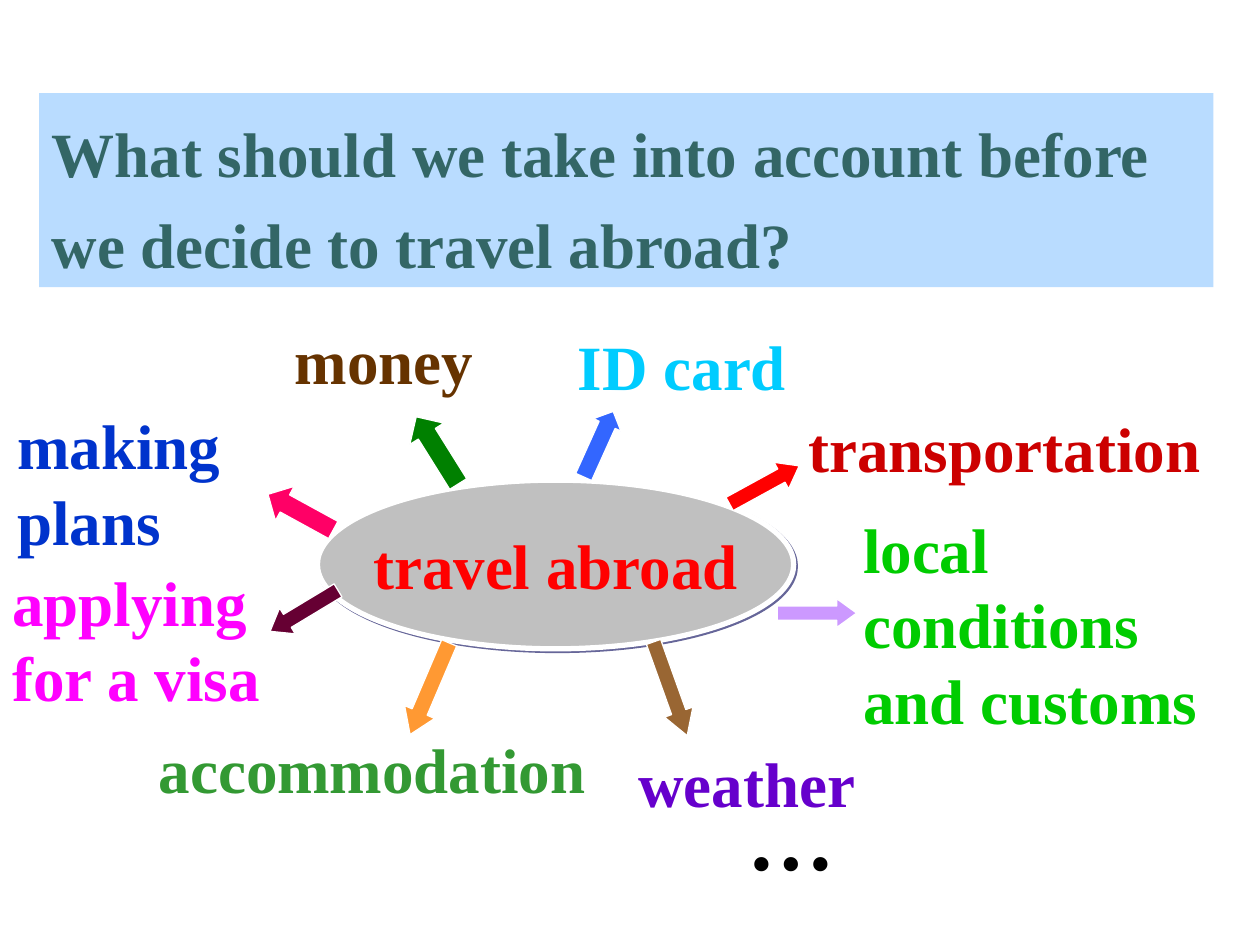
from dataclasses import dataclass

from lxml import etree
from pptx import Presentation
from pptx.dml.color import RGBColor
from pptx.enum.shapes import MSO_SHAPE
from pptx.enum.text import MSO_ANCHOR, MSO_AUTO_SIZE, PP_ALIGN
from pptx.oxml import parse_xml
from pptx.oxml.ns import nsdecls
from pptx.shapes.autoshape import Shape
from pptx.slide import Slide
from pptx.util import Cm, Pt

RECTANGLE, OVAL = MSO_SHAPE.RECTANGLE, MSO_SHAPE.OVAL
UP, DOWN = MSO_SHAPE.UP_ARROW, MSO_SHAPE.DOWN_ARROW
LEFT, RIGHT = MSO_SHAPE.LEFT_ARROW, MSO_SHAPE.RIGHT_ARROW
ALIGN_LEFT, ALIGN_CENTER = PP_ALIGN.LEFT, PP_ALIGN.CENTER
TOP, MIDDLE = MSO_ANCHOR.TOP, MSO_ANCHOR.MIDDLE
FIT_SHAPE, FIT_NONE = MSO_AUTO_SIZE.SHAPE_TO_FIT_TEXT, MSO_AUTO_SIZE.NONE

COLORS = {
    "white": "FFFFFF", "black": "000000", "sky": "B9DCFF", "teal": "336666",
    "gray": "C0C0C0", "slate": "666699", "red": "FF0000", "green": "008000",
    "rose": "FF0066", "blue": "3366FF", "plum": "660033", "lavender": "CC99FF",
    "orange": "FF9933", "tan": "996633", "brown": "663300", "cyan": "00CCFF",
    "crimson": "CC0000", "lime": "00CC00", "leaf": "339933",
    "violet": "6600CC", "navy": "0033CC", "magenta": "FF00FF",
}
FONT_FORMAT = {"name": "Times New Roman", "bold": True}


@dataclass(frozen=True)
class Box:
    left: float
    top: float
    width: float
    height: float = 1.78

    def lengths(self) -> list[int]:
        return [Cm(value) for value in (self.left, self.top, self.width, self.height)]


@dataclass(frozen=True)
class Arrow:
    preset: MSO_SHAPE
    box: Box
    rotation: float
    shaft: float
    head: float
    color: str


@dataclass(frozen=True)
class Label:
    text: str
    box: Box
    color: str
    wrap: bool = False
    size: float = 36


ARROWS = [
    Arrow(UP, Box(8.41, 8.28, 0.81, 1.6), 328, 0.5, 0.5, "green"),
    Arrow(LEFT, Box(5.31, 9.93, 1.5, 0.79), 28.7, 0.5, 0.49, "rose"),
    Arrow(UP, Box(11.76, 8.23, 0.61, 1.45), 24.2, 0.58, 0.49, "blue"),
    Arrow(LEFT, Box(5.33, 12.01, 1.6, 0.61), 328.9, 0.5, 0.67, "plum"),
    Arrow(RIGHT, Box(14.61, 9.47, 1.6, 0.61), 331.3, 0.5, 0.67, "red"),
    Arrow(RIGHT, Box(15.67, 12.07, 1.6, 0.58), 0, 0.5, 0.69, "lavender"),
    Arrow(DOWN, Box(8.33, 12.88, 0.66, 2.01), 23.1, 0.5, 0.75, "orange"),
    Arrow(DOWN, Box(13.21, 12.88, 0.61, 2.01), 340.3, 0.5, 0.83, "tan"),
]
LABELS = [
    Label("money", Box(5.69, 6.35, 4.42), "brown"),
    Label("ID card", Box(11.4, 6.48, 4.7), "cyan"),
    Label("transportation", Box(16.05, 8.13, 8.71), "crimson"),
    Label("local conditions and customs", Box(17.15, 10.16, 7.7, 4.83), "lime", True),
    Label("accommodation", Box(2.95, 14.61, 9.42), "leaf"),
    Label("weather", Box(12.62, 14.88, 5.18), "violet"),
    Label("making plans", Box(0.1, 8.08, 7.8), "navy"),
    Label("applying\nfor a visa", Box(0, 11.23, 8.89, 3.3), "magenta", True),
    Label("…", Box(14.81, 15.67, 2.74, 2.39), "black", True, 50),
]


def rgb(color: str) -> RGBColor:
    return RGBColor.from_string(COLORS[color])


def apply_format(target: object, values: dict) -> None:
    for name, value in values.items():
        setattr(target, name, value)


def write_text(shape: Shape, text: str, color: str, frame_format: dict,
               paragraph_format: dict, size: float = 36) -> None:
    frame = shape.text_frame
    frame.text = text
    apply_format(frame, frame_format)
    for paragraph in frame.paragraphs:
        apply_format(paragraph, paragraph_format)
        for run in paragraph.runs:
            apply_format(run.font, FONT_FORMAT | {"size": Pt(size)})
            run.font.color.rgb = rgb(color)


def add_filled_shape(slide: Slide, preset: MSO_SHAPE, box: Box, fill: str,
                     line_width: float = 0) -> Shape:
    shape = slide.shapes.add_shape(preset, *box.lengths())
    shape.shadow.inherit = False
    shape.fill.solid()
    shape.fill.fore_color.rgb = rgb(fill)
    if line_width:
        shape.line.color.rgb = rgb("white")
        shape.line.width = Pt(line_width)
    else:
        shape.line.fill.background()
    return shape


def add_shadow(shape: Shape, color: str, distance: float) -> None:
    effects = shape.shadow._element.find("{*}effectLst")
    shadow = etree.SubElement(effects, effects.tag.replace("effectLst", "outerShdw"),
                              dist=str(Pt(distance)), dir="2700000", algn="ctr",
                              rotWithShape="0")
    shadow.append(parse_xml(f'<a:srgbClr {nsdecls("a")} val="{COLORS[color]}"/>'))


def add_question(slide: Slide) -> None:
    shape = add_filled_shape(slide, RECTANGLE, Box(0.79, 1.88, 23.67, 3.91), "sky")
    write_text(shape, "What should we take into account before we decide to travel abroad?",
               "teal", {"word_wrap": True, "auto_size": FIT_SHAPE, "vertical_anchor": TOP},
               {"alignment": ALIGN_LEFT, "line_spacing": 1.2})


def add_topic(slide: Slide) -> None:
    shape = add_filled_shape(slide, OVAL, Box(6.4, 9.68, 9.6, 3.4), "gray", 3)
    add_shadow(shape, "slate", 1.4)
    write_text(shape, "travel abroad", "red",
               {"word_wrap": False, "auto_size": FIT_NONE, "vertical_anchor": MIDDLE},
               {"alignment": ALIGN_CENTER})


def add_arrow(slide: Slide, arrow: Arrow) -> None:
    shape = add_filled_shape(slide, arrow.preset, arrow.box, arrow.color, 0.75)
    shape.rotation = arrow.rotation
    shape.adjustments[0] = arrow.shaft
    shape.adjustments[1] = arrow.head


def add_label(slide: Slide, label: Label) -> None:
    shape = slide.shapes.add_textbox(*label.box.lengths())
    write_text(shape, label.text, label.color,
               {"word_wrap": label.wrap, "auto_size": FIT_SHAPE},
               {"alignment": ALIGN_LEFT}, label.size)


def main() -> None:
    """Build the mind map of things to consider before travelling abroad."""
    presentation = Presentation()
    apply_format(presentation, {"slide_width": Cm(25.4), "slide_height": Cm(19.05)})
    slide = presentation.slides.add_slide(presentation.slide_layouts[6])
    add_question(slide)
    add_topic(slide)
    for arrow in ARROWS:
        add_arrow(slide, arrow)
    for label in LABELS:
        add_label(slide, label)
    presentation.save("out.pptx")


if __name__ == "__main__":
    main()
